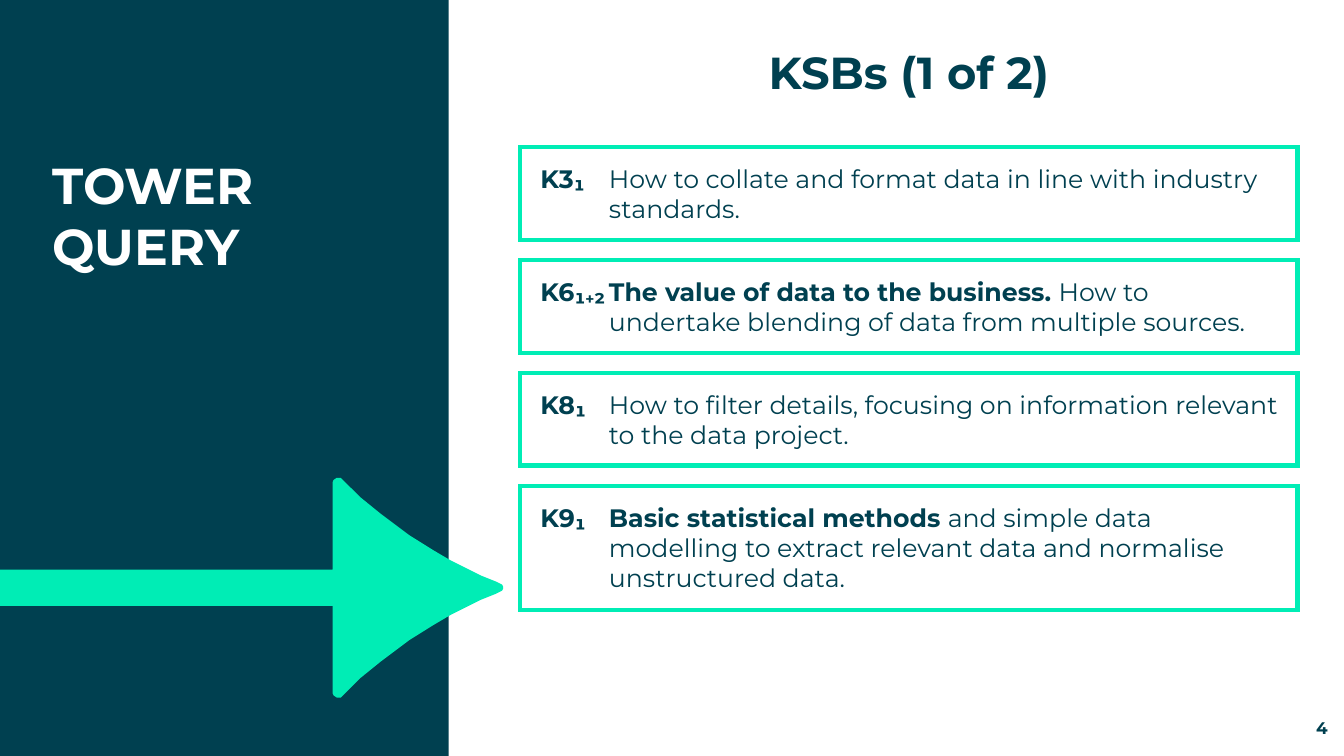
from lxml import etree
from pptx import Presentation
from pptx.dml.color import RGBColor
from pptx.enum.shapes import MSO_SHAPE
from pptx.enum.text import MSO_ANCHOR, MSO_AUTO_SIZE, PP_ALIGN
from pptx.oxml.ns import qn
from pptx.util import Inches, Pt

RECT = MSO_SHAPE.RECTANGLE
TOP, MIDDLE, BOTTOM = MSO_ANCHOR.TOP, MSO_ANCHOR.MIDDLE, MSO_ANCHOR.BOTTOM
LEFT, CENTER, RIGHT = PP_ALIGN.LEFT, PP_ALIGN.CENTER, PP_ALIGN.RIGHT
NO_FIT, GROW = MSO_AUTO_SIZE.NONE, MSO_AUTO_SIZE.SHAPE_TO_FIT_TEXT

THEME = {
    "font": "Montserrat",
    "dark": RGBColor(0x00, 0x40, 0x50),
    "accent": RGBColor(0x00, 0xED, 0xB5),
    "white": RGBColor(0xFF, 0xFF, 0xFF),
    "heading": Pt(36), "title": Pt(32), "item": Pt(18), "number": Pt(12),
}


def add_run(p, text, size, color="dark", bold=True):
    r = p.add_run()
    r.text = text
    style = {"name": THEME["font"], "size": THEME[size], "bold": bold}
    for name, value in style.items():
        setattr(r.font, name, value)
    r.font.color.rgb = THEME[color]


def format_frame(sp, box, anchor, align, fit=NO_FIT, insets=(0.1, 0.05, 0.1, 0.05)):
    sp.left, sp.top, sp.width, sp.height = [Inches(v) for v in box]
    left, top, right, bottom = [Inches(v) for v in insets]
    frame = {
        "word_wrap": True, "auto_size": fit, "vertical_anchor": anchor,
        "margin_left": left, "margin_top": top,
        "margin_right": right, "margin_bottom": bottom,
    }
    for name, value in frame.items():
        setattr(sp.text_frame, name, value)
    p = sp.text_frame.paragraphs[0]
    p.alignment = align
    p.space_before = Pt(0)
    return p


prs = Presentation()
prs.slide_width, prs.slide_height = Inches(13.33), Inches(7.5)
s = prs.slides.add_slide(prs.slide_layouts[1])
shapes = s.shapes

# Left panel
panel = shapes.add_shape(RECT, 0, 0, Inches(4.45), prs.slide_height)

# Arrow in hundredths of an inch, mirrored about its axis
AXIS = 583
upper = [
    (0, 565), (330, 565), (330, 478), (331, 476), (334, 474),
    (338, 474), (357, 493), (378, 510), (406, 531), (430, 546),
    (447, 556), (461, 563), (477, 571), (492, 577), (498, 580),
    (499, 582),
]
lower = [(x, 2 * AXIS - y) for x, y in reversed(upper)]
builder = shapes.build_freeform(*upper[0], scale=Inches(0.01))
builder.add_line_segments(upper[1:] + lower, close=True)
arrow = builder.convert_to_shape()

# Both sit behind the placeholders
for depth, (sp, color) in enumerate([(panel, "dark"), (arrow, "accent")]):
    sp.shadow.inherit = False
    sp.fill.solid()
    sp.fill.fore_color.rgb = THEME[color]
    sp.line.fill.background()
    shapes._spTree.insert(2 + depth, sp._element)

# Panel heading
p = format_frame(s.placeholders[1], (0.42, 1.48, 3.77, 3.01), TOP, LEFT)
pPr = p._p.get_or_add_pPr()
pPr.set("marL", "0")
pPr.set("indent", "0")
etree.SubElement(pPr, qn("a:buNone"))
add_run(p, "TOWER QUERY", "heading", "white")

# Title
p = format_frame(shapes.title, (5.16, 0.11, 7.71, 1.16), MIDDLE, CENTER)
p.line_spacing = Pt(42)
add_run(p, "KSBs (1 of 2)", "title")

# Slide number
number = shapes.add_textbox(0, 0, 0, 0)
p = format_frame(number, (12.31, 7.12, 0.86, 0.2), BOTTOM, RIGHT, insets=(0, 0, 0, 0))
add_run(p, "4", "number")

# KSB boxes: code, bold lead, remaining text, height
ksbs = [
    ("K3₁", "", "How to collate and format data in line with industry standards.", 0.92),
    ("K6₁₊₂", "The value of data to the business. ",
     "How to undertake blending of data from multiple sources.", 0.92),
    ("K8₁", "", "How to filter details, focusing on information relevant "
     "to the data project.", 0.92),
    ("K9₁", "Basic statistical methods ", "and simple data modelling to extract "
     "relevant data and normalise unstructured data.", 1.23),
]
GAP, HANG = 0.2, Inches(0.68)
y = 1.46
for code, lead, text, height in ksbs:
    sp = shapes.add_shape(RECT, 0, 0, 0, 0)
    sp.shadow.inherit = False
    sp.fill.solid()
    sp.fill.fore_color.rgb = THEME["white"]
    sp.line.color.rgb = THEME["accent"]
    sp.line.width = Pt(3)
    ln = sp._element.spPr.find(qn("a:ln"))
    etree.SubElement(ln, qn("a:miter")).set("lim", "800000")
    p = format_frame(sp, (5.16, y, 7.71, height), TOP, LEFT, GROW,
                     (0.2, 0.16, 0.16, 0.16))
    pPr = p._p.get_or_add_pPr()
    pPr.set("marL", str(HANG))
    pPr.set("indent", str(-HANG))
    add_run(p, f"{code}\t{lead}", "item")
    add_run(p, text, "item", bold=False)
    y += height + GAP

prs.save("out.pptx")
